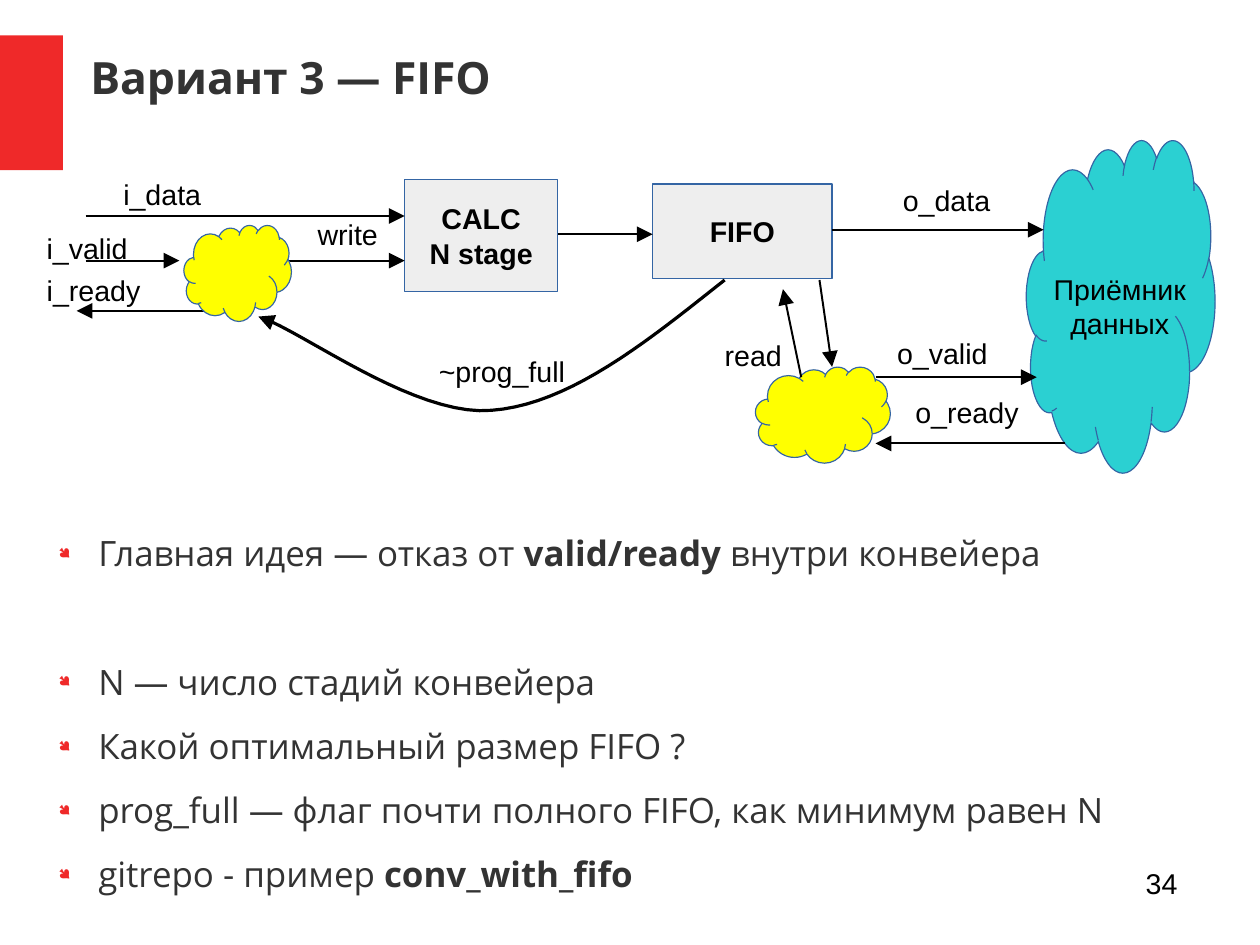
from lxml.etree import SubElement
from pptx import Presentation
from pptx.dml.color import RGBColor
from pptx.enum.shapes import MSO_CONNECTOR, MSO_SHAPE
from pptx.enum.text import MSO_ANCHOR, PP_ALIGN
from pptx.oxml.ns import qn
from pptx.util import Inches, Pt

RED = RGBColor(0xEF, 0x29, 0x29)
DARK = RGBColor(0x33, 0x33, 0x33)
BLACK = RGBColor(0x00, 0x00, 0x00)
GRAY = RGBColor(0xEE, 0xEE, 0xEE)
BLUE = RGBColor(0x34, 0x65, 0xA4)
TURQUOISE = RGBColor(0x2B, 0xD0, 0xD2)
YELLOW = RGBColor(0xFF, 0xFF, 0x00)

CM_PER_INCH = 2.54
SLIDE_WIDTH = Inches(28 / CM_PER_INCH)
SLIDE_HEIGHT = Inches(21 / CM_PER_INCH)

LABELS = [
    ("i_data", 0.98, 1.5, 1.01),
    ("i_valid", 0.31, 1.97, 1.14),
    ("i_ready", 0.31, 2.34, 1.21),
    ("write", 2.68, 1.85, 0.79),
    ("~prog_full", 3.74, 3.05, 1.89),
    ("o_data", 7.8, 1.55, 1.02),
    ("o_valid", 7.75, 2.89, 1.22),
    ("o_ready", 7.91, 3.41, 1.42),
]
WIRES_BEHIND_CLOUDS = [
    (0.75, 1.89, 3.54, 1.89),
    (0.75, 2.28, 1.57, 2.28),
    (2.48, 2.28, 3.54, 2.28),
    (1.85, 2.72, 0.67, 2.72),
    (4.88, 2.05, 5.71, 2.05),
    (7.28, 2.01, 9.13, 2.01),
    (7.66, 3.3, 9.07, 3.3),
]
WIRES_IN_FRONT = [
    (7.17, 2.45, 7.28, 3.21),
    (7.01, 3.3, 6.85, 2.53),
    (9.32, 3.88, 7.66, 3.88),
]
PROG_FULL_CURVES = [
    ((6.34, 2.45), (5.66, 2.99), (4.98, 3.54), (4.3, 3.59)),
    ((4.3, 3.59), (3.62, 3.65), (2.61, 2.87), (2.26, 2.77)),
]
CURVE_STEPS = 20
BULLETS = [
    [("Главная идея — отказ от ", False), ("valid/ready", True), (" внутри конвейера", False)],
    [("N — число стадий конвейера", False)],
    [("Какой оптимальный размер FIFO ?", False)],
    [("prog_full — флаг почти полного FIFO, как минимум равен N", False)],
    [("gitrepo - пример ", False), ("conv_with_fifo", True)],
]


def style_font(font, size, color=BLACK, bold=False, name="Arial"):
    font.name = name
    font.size = Pt(size)
    font.bold = bold
    font.color.rgb = color


def fill_text(text_frame, text, align=PP_ALIGN.LEFT, **font_style):
    text_frame.text = text
    for paragraph in text_frame.paragraphs:
        paragraph.alignment = align
        for run in paragraph.runs:
            style_font(run.font, **font_style)


def add_text_box(slide, left, top, width, height, margins=True):
    box = slide.shapes.add_textbox(Inches(left), Inches(top), Inches(width), Inches(height))
    text_frame = box.text_frame
    text_frame.word_wrap = True
    if not margins:
        text_frame.margin_left = text_frame.margin_right = 0
        text_frame.margin_top = text_frame.margin_bottom = 0
    return text_frame


def add_label(slide, text, left, top, width, align=PP_ALIGN.LEFT):
    fill_text(add_text_box(slide, left, top, width, 0.38), text, align, size=18)


def add_block(slide, kind, left, top, width, height, fill, text="", bold=False, outline=BLUE):
    shape = slide.shapes.add_shape(kind, Inches(left), Inches(top), Inches(width), Inches(height))
    shape.shadow.inherit = False
    shape.fill.solid()
    shape.fill.fore_color.rgb = fill
    if outline is None:
        shape.line.fill.background()
    else:
        shape.line.color.rgb = outline
        shape.line.width = Pt(0.75)
    if text:
        shape.text_frame.word_wrap = False
        shape.text_frame.vertical_anchor = MSO_ANCHOR.MIDDLE
        fill_text(shape.text_frame, text, PP_ALIGN.CENTER, size=18, bold=bold)
    return shape


def style_arrow(shape, width):
    shape.line.color.rgb = BLACK
    shape.line.width = Pt(width)
    outline = shape._element.spPr.find(qn("a:ln"))
    SubElement(outline, qn("a:tailEnd"), type="triangle", w="lg", len="lg")


def add_wire(slide, *ends):
    connector = slide.shapes.add_connector(MSO_CONNECTOR.STRAIGHT, *map(Inches, ends))
    style_arrow(connector, 1.25)
    SubElement(connector._element.spPr, qn("a:effectLst"))


def curve_point(points, t):
    weights = ((1 - t) ** 3, 3 * t * (1 - t) ** 2, 3 * t ** 2 * (1 - t), t ** 3)
    return tuple(Inches(sum(w * point[axis] for w, point in zip(weights, points))) for axis in (0, 1))


def add_curved_arrow(slide, curves):
    start, *points = [curve_point(curves[0], 0)] + [
        curve_point(curve, step / CURVE_STEPS) for curve in curves for step in range(1, CURVE_STEPS + 1)
    ]
    builder = slide.shapes.build_freeform(*start)
    builder.add_line_segments(points, close=False)
    shape = builder.convert_to_shape()
    shape.shadow.inherit = False
    shape.fill.background()
    style_arrow(shape, 2)


def format_bullet(paragraph):
    properties = paragraph._p.get_or_add_pPr()
    properties.set("marL", str(Inches(0.47)))
    properties.set("indent", str(Inches(-0.35)))
    color = SubElement(properties, qn("a:buClr"))
    SubElement(color, qn("a:srgbClr"), val=str(RED))
    SubElement(properties, qn("a:buSzPct"), val="45000")
    SubElement(properties, qn("a:buFont"), typeface="Wingdings", charset="2")
    SubElement(properties, qn("a:buChar"), char="●")


def add_bullets(slide):
    text_frame = add_text_box(slide, 0.39, 4.65, 10.08, 2.13, margins=False)
    for index, parts in enumerate(BULLETS):
        paragraph = text_frame.add_paragraph() if index else text_frame.paragraphs[0]
        format_bullet(paragraph)
        paragraph.space_after = Pt(14.1 if index else 54.7)
        for text, bold in parts:
            run = paragraph.add_run()
            run.text = text
            style_font(run.font, 22, DARK, bold, "Open Sans")


def add_diagram(slide):
    add_block(slide, MSO_SHAPE.RECTANGLE, 3.54, 1.57, 1.34, 0.98, GRAY, "CALC\nN stage", True)
    add_block(slide, MSO_SHAPE.RECTANGLE, 5.71, 1.61, 1.57, 0.83, GRAY, "FIFO", True)
    receiver = add_block(slide, MSO_SHAPE.CLOUD, 8.98, 1.22, 1.65, 2.91, TURQUOISE, "Приёмник\nданных")
    receiver.text_frame.margin_left = Inches(0.2)
    receiver.text_frame.margin_top = Inches(0.19)
    for wire in WIRES_BEHIND_CLOUDS:
        add_wire(slide, *wire)
    add_block(slide, MSO_SHAPE.CLOUD, 1.61, 1.97, 0.94, 0.84, YELLOW)
    add_block(slide, MSO_SHAPE.CLOUD, 6.61, 3.21, 1.18, 0.84, YELLOW)
    for wire in WIRES_IN_FRONT:
        add_wire(slide, *wire)
    add_curved_arrow(slide, PROG_FULL_CURVES)
    for label in LABELS:
        add_label(slide, *label)
    add_label(slide, "read", 6.08, 2.91, 1.02, PP_ALIGN.CENTER)


def main():
    presentation = Presentation()
    presentation.slide_width = SLIDE_WIDTH
    presentation.slide_height = SLIDE_HEIGHT
    slide = presentation.slides.add_slide(presentation.slide_layouts[6])
    add_block(slide, MSO_SHAPE.RECTANGLE, 0, 0.31, 0.55, 1.18, RED, outline=None)
    title = add_text_box(slide, 0.79, 0.33, 9.68, 0.69, margins=False)
    title.vertical_anchor = MSO_ANCHOR.MIDDLE
    fill_text(title, "Вариант 3 — FIFO", size=28, color=DARK, bold=True, name="Open Sans")
    add_diagram(slide)
    add_bullets(slide)
    add_label(slide, "34", 7.9, 7.53, 2.5, PP_ALIGN.RIGHT)
    presentation.save("out.pptx")


if __name__ == "__main__":
    main()
